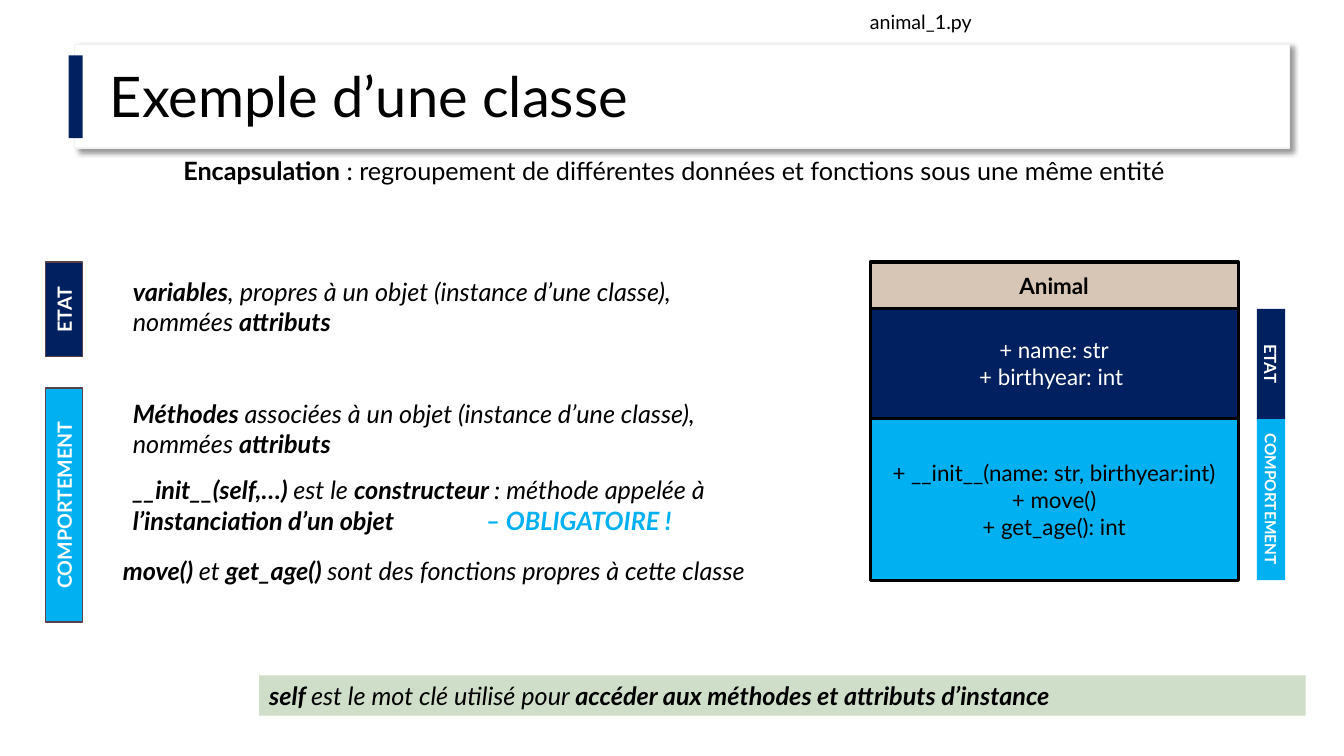
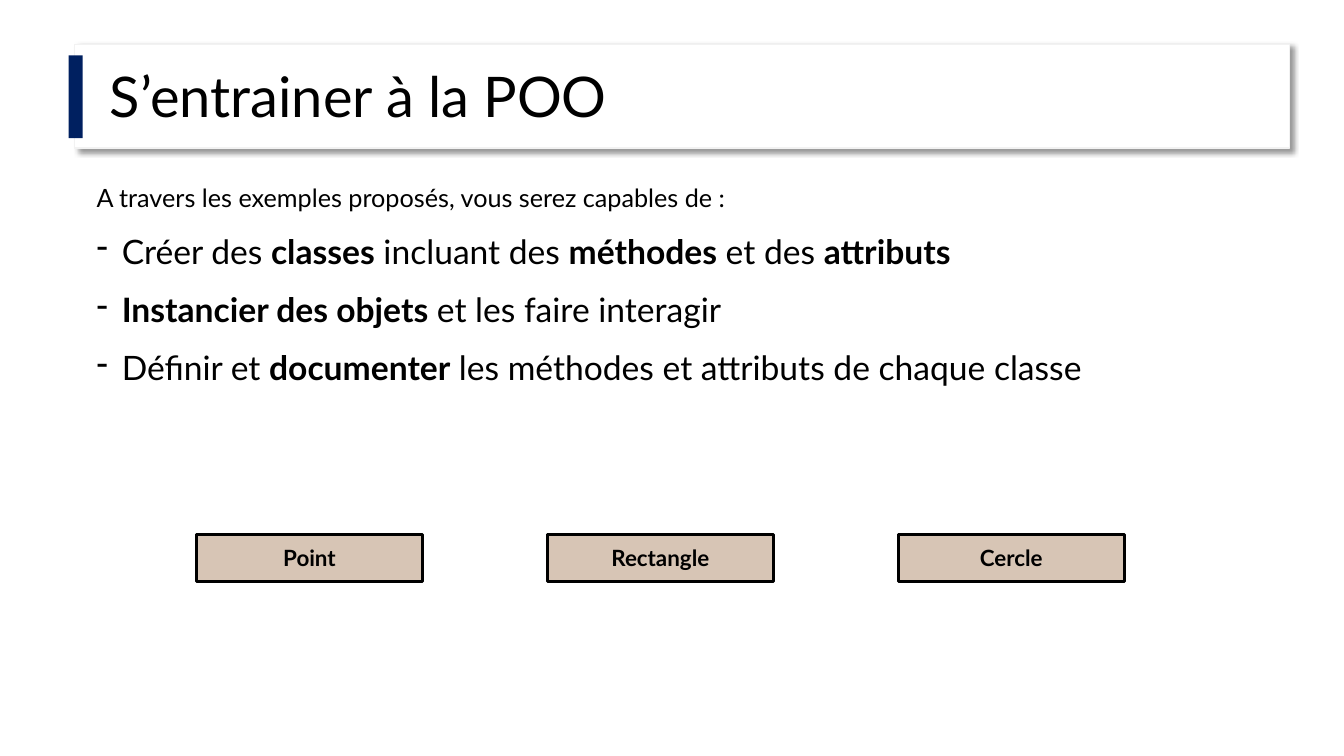
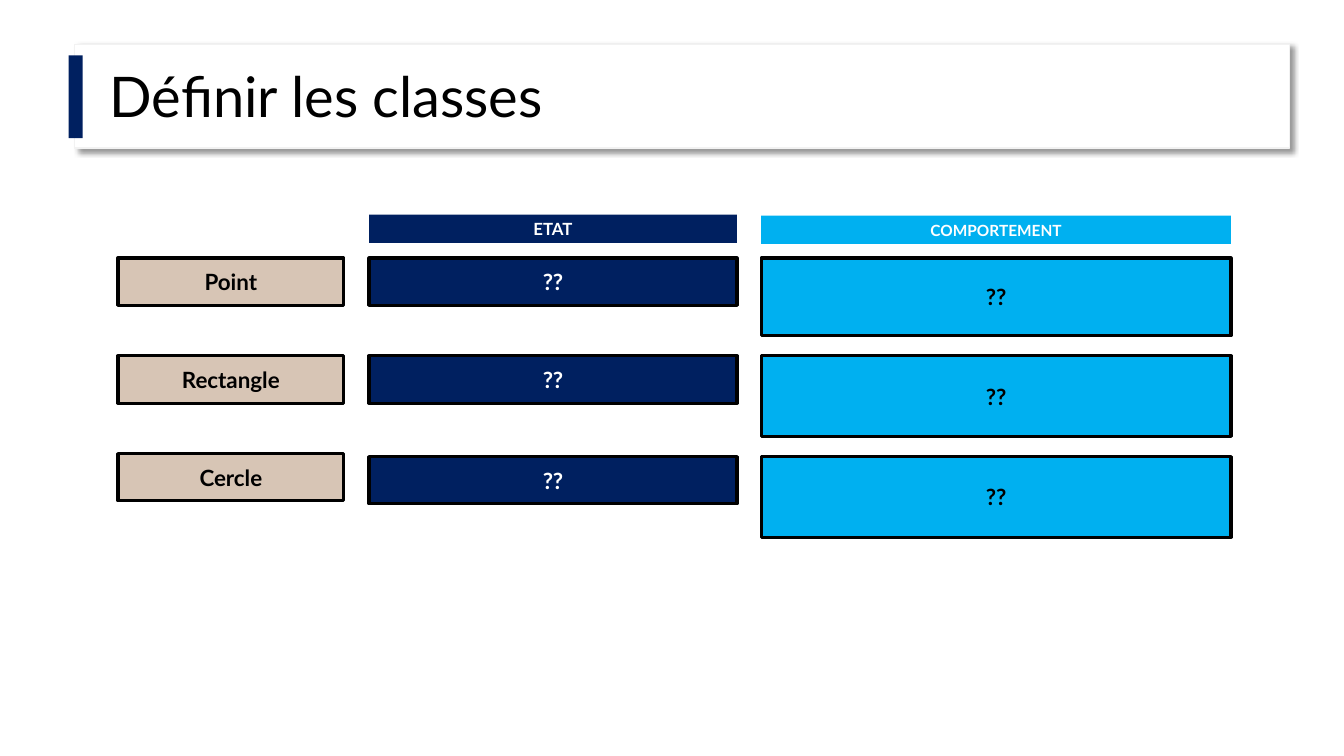
import pptx
import pptx.dml.color
import pptx.enum.shapes
import pptx.enum.text
import pptx.oxml
import pptx.oxml.ns
import pptx.util

Inches, Pt = pptx.util.Inches, pptx.util.Pt
PP_ALIGN = pptx.enum.text.PP_ALIGN
MSO_ANCHOR = pptx.enum.text.MSO_ANCHOR

FONT = "Lato"
COLORS = {
    "white": "FFFFFF",
    "black": "000000",
    "navy": "002060",
    "sky": "00B0F0",
    "sand": "D7C5B5",
    "sage": "CEDEC8",
    "frame": "F2F2F2",
    "plum": "574249",
}
CLASSES = ("Point", "Rectangle", "Cercle")
CLASS_W, STATE_W, BEHAVIOUR_W = 2.24, 3.65, 4.66
BOX_H, LABEL_H = 0.47, 0.28


def rgb(name):
    return pptx.dml.color.RGBColor.from_string(COLORS[name])


def add_xml(parent, xml):
    """Append an element written with the a: prefix."""
    ns = pptx.oxml.ns.nsdecls("a")
    parent.append(pptx.oxml.parse_xml(xml.replace(" ", f" {ns} ", 1)))


def add_runs(p, text, size, color="black", bold=False, italic=False):
    """Write text in runs; parts between asterisks are bold."""
    for i, part in enumerate(text.split("*")):
        if part:
            r = p.add_run()
            r.text = part
            r.font.name = FONT
            r.font.size = Pt(size)
            r.font.bold = bold or i % 2 == 1
            r.font.italic = italic
            r.font.color.rgb = rgb(color)


def add_text(s, at, text, size, italic=False):
    """Add a wrapping text box and return its first paragraph."""
    tf = s.shapes.add_textbox(*map(Inches, at)).text_frame
    tf.word_wrap = True
    p = tf.paragraphs[0]
    add_runs(p, text, size, italic=italic)
    return p


def add_rect(s, at, fill, line=None, width=1.0):
    kind = pptx.enum.shapes.MSO_SHAPE.RECTANGLE
    sp = s.shapes.add_shape(kind, *map(Inches, at))
    sp.shadow.inherit = False
    sp.fill.solid()
    sp.fill.fore_color.rgb = rgb(fill)
    if line:
        sp.line.color.rgb = rgb(line)
        sp.line.width = Pt(width)
    else:
        sp.line.fill.background()
    return sp


def add_centred(sp, lines, size, color, bold=True):
    tf = sp.text_frame
    tf.word_wrap = True
    tf.vertical_anchor = MSO_ANCHOR.MIDDLE
    for i, line in enumerate(lines):
        p = tf.add_paragraph() if i else tf.paragraphs[0]
        p.alignment = PP_ALIGN.CENTER
        add_runs(p, line, size, color, bold)


def add_box(s, at, fill, *lines, bold=True):
    """Add a black-edged compartment of a class diagram."""
    sp = add_rect(s, at, fill, "black", 2.25)
    add_centred(sp, lines, 16, "white" if fill == "navy" else "black", bold)


def add_label(s, at, fill, text, size, rotation=0):
    sp = add_rect(s, at, fill)
    sp.rotation = rotation
    add_centred(sp, [text], size, "white")


def add_side_tab(s, top, height, fill, text):
    """Add a tab at the left whose text reads upwards."""
    sp = add_rect(s, (0.45, top, 0.37, height), fill, "plum")
    add_centred(sp, [text], 14, "white")
    sp.text_frame._txBody.bodyPr.set("vert", "vert270")


def add_titled_slide(prs, title):
    s = prs.slides.add_slide(prs.slide_layouts[6])
    frame = add_rect(s, (0.74, 0.44, 12.05, 1.03), "white", "frame")
    effects = frame._element.spPr.find(pptx.oxml.ns.qn("a:effectLst"))
    add_xml(effects,
            f'<a:outerShdw blurRad="{Pt(4)}" dist="{Pt(3)}" dir="2700000" '
            f'algn="tl" rotWithShape="0"><a:srgbClr val="{COLORS["black"]}">'
            '<a:alpha val="40000"/></a:srgbClr></a:outerShdw>')
    add_text(s, (0.99, 0.64, 9.81, 0.77), title, 40).line_spacing = 0.9
    add_rect(s, (0.68, 0.55, 0.14, 0.82), "navy")
    return s


def build_example(prs):
    s = add_titled_slide(prs, "Exemple d’une classe")
    add_text(s, (1.72, 1.49, 10.86, 0.4),
             "*Encapsulation* : regroupement de différentes données et "
             "fonctions sous une même entité", 18)
    key = add_rect(s, (2.57, 6.7, 10.38, 0.4), "sage")
    key.text_frame.word_wrap = True
    key.text_frame.vertical_anchor = MSO_ANCHOR.TOP
    p = key.text_frame.paragraphs[0]
    p.alignment = PP_ALIGN.LEFT
    add_runs(p, "*self *est le mot clé utilisé pour *accéder aux méthodes et "
             "attributs d’instance*", 18, italic=True)

    add_side_tab(s, 3.85, 2.32, "sky", "COMPORTEMENT")
    add_side_tab(s, 2.6, 0.94, "navy", "ETAT")
    notes = (
        (1.22, 2.69, "*variables*, propres à un objet (instance d’une "
         "classe), nommées *attributs*"),
        (1.22, 3.9, "*Méthodes *associées à un objet (instance d’une "
         "classe), nommées *attributs*"),
        (1.12, 5.46, "*move() *et *get_age() *sont des fonctions propres à "
         "cette classe"),
        (1.22, 4.66, "*__init__(self,…) *est le *constructeur *: méthode "
         "appelée à *l’instanciation d’un objet \t\t**– OBLIGATOIRE !*"),
    )
    for left, top, text in notes:
        p = add_text(s, (left, top, 6.54, 0.71), text, 18, italic=True)
    p.runs[-1].font.color.rgb = rgb("sky")
    stops = "".join(f'<a:tab pos="{Inches(x)}" algn="l"/>' for x in (3, 3.5))
    add_xml(p._p.get_or_add_pPr(), f"<a:tabLst >{stops}</a:tabLst>")

    add_text(s, (8.53, 0.05, 4.02, 0.34), "animal_1.py", 14)
    add_box(s, (8.63, 2.6, STATE_W, BOX_H), "sand", "Animal")
    add_box(s, (8.63, 3.06, STATE_W, 1.09), "navy",
            "+ name: str", "+ birthyear: int ", bold=False)
    add_box(s, (8.63, 4.15, STATE_W, 1.61), "sky",
            "+ __init__(name: str, birthyear:int)", "+ move()",
            "+ get_age(): int", bold=False)
    add_label(s, (11.8, 4.81, 1.61, LABEL_H), "sky", "COMPORTEMENT", 11, 90)
    add_label(s, (12.06, 3.47, 1.09, LABEL_H), "navy", "ETAT", 12, 90)


def build_goals(prs):
    s = add_titled_slide(prs, "S’entrainer à la POO")
    intro = add_text(s, (0.86, 1.73, 11.86, 2.29), "A travers les exemples "
                     "proposés, vous serez capables de :", 18)
    tf = intro._parent
    goals = (
        "Créer des *classes* incluant des *méthodes* et des *attributs*",
        "*Instancier des objets* et les faire interagir",
        "Définir et *documenter* les méthodes et attributs de chaque classe",
    )
    for goal in goals:
        p = tf.add_paragraph()
        add_runs(p, goal, 24)
        pPr = p._p.get_or_add_pPr()
        pPr.set("marL", str(Inches(0.25)))
        pPr.set("indent", str(Inches(-0.25)))
        add_xml(pPr, '<a:buChar char="-"/>')
    for p in tf.paragraphs:
        p.line_spacing = 1.1
        p.space_before = Pt(10)
    for i, name in enumerate(CLASSES):
        add_box(s, (1.95 + 3.48 * i, 5.3, CLASS_W, BOX_H), "sand", name)


def build_classes(prs):
    s = add_titled_slide(prs, "Définir les classes")
    add_label(s, (3.66, 2.13, STATE_W, LABEL_H), "navy", "ETAT", 12)
    add_label(s, (7.55, 2.14, BEHAVIOUR_W, LABEL_H), "sky",
              "COMPORTEMENT", 11)
    rows = ((2.56, 0.77), (3.53, 0.8), (4.53, 0.8))
    for i, (name, (top, height)) in enumerate(zip(CLASSES, rows)):
        add_box(s, (1.17, 2.56 + 0.97 * i, CLASS_W, BOX_H), "sand", name)
        add_box(s, (3.66, top, STATE_W, BOX_H), "navy", "??")
        add_box(s, (7.55, top, BEHAVIOUR_W, height), "sky", "??")


def main():
    prs = pptx.Presentation()
    prs.slide_width, prs.slide_height = Inches(13.33), Inches(7.5)
    build_example(prs)
    build_goals(prs)
    build_classes(prs)
    prs.save("out.pptx")


if __name__ == "__main__":
    main()
